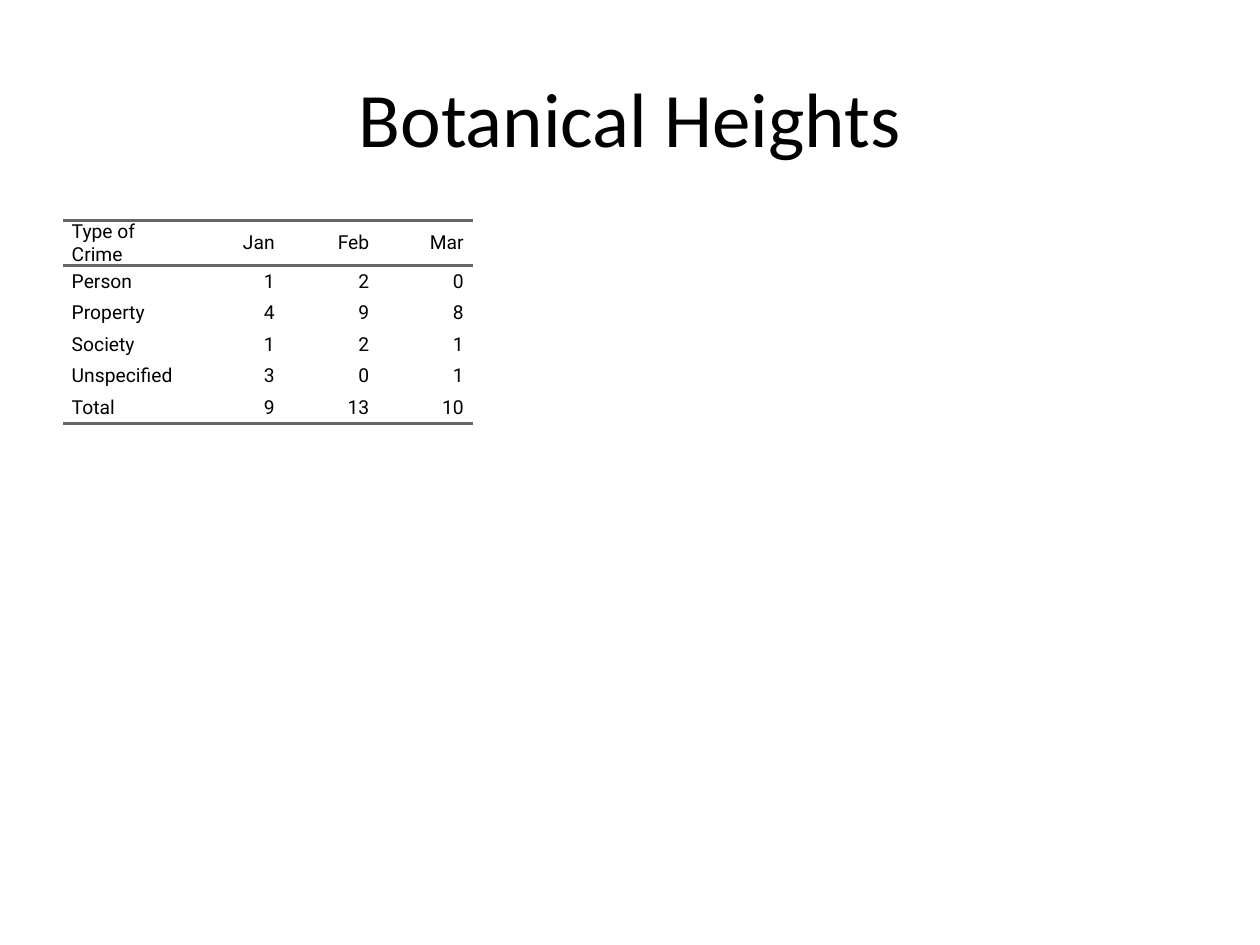
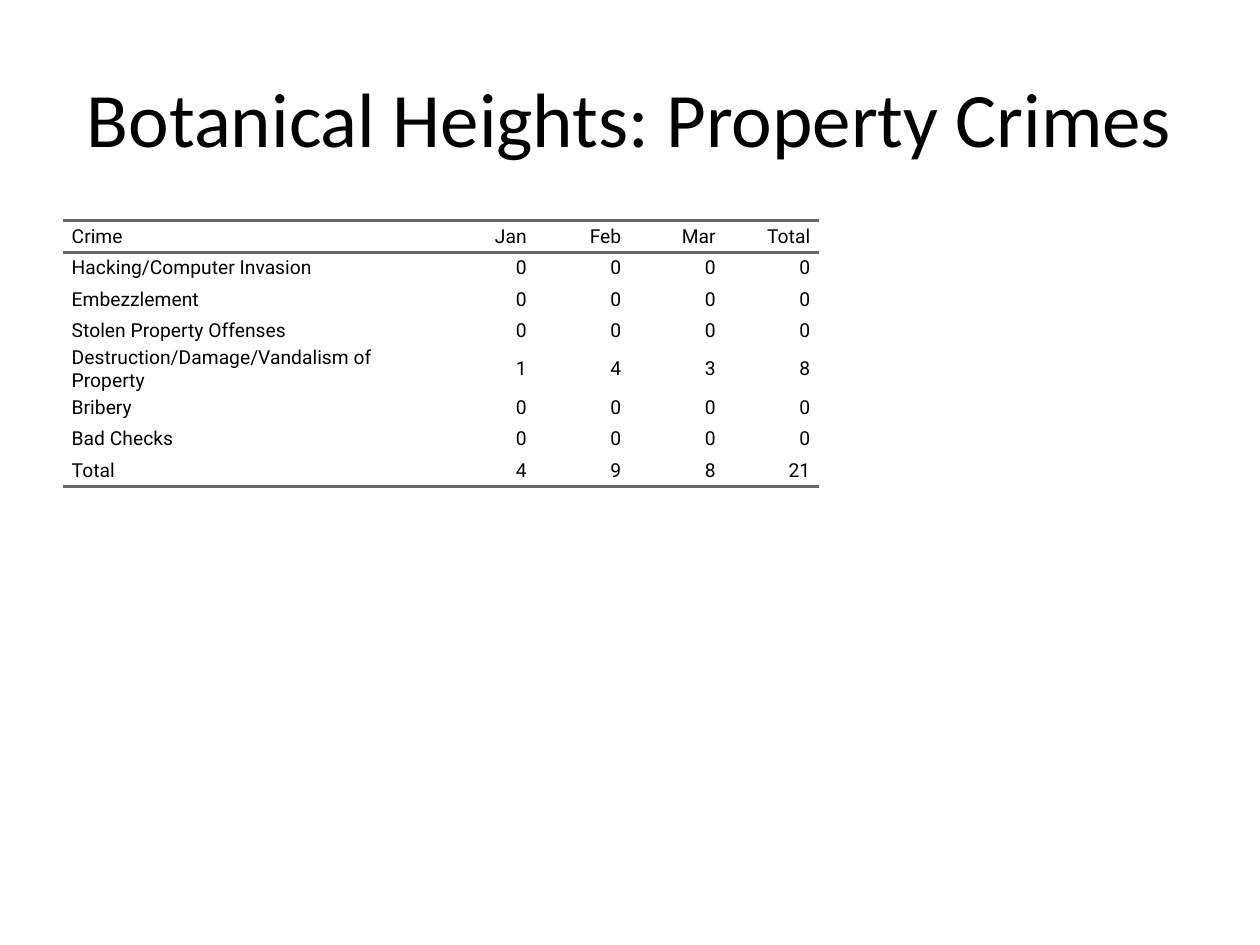
from lxml import etree
from pptx import Presentation
from pptx import util as u
from pptx.dml import color
from pptx.enum import text
from pptx.oxml import ns

BLACK = "000000"
RULE = "666666"
PLAIN_STYLE = "{2D5ABB26-0587-4C30-8999-92F81FD0307C}"  # no style, no grid
LEFT, WIDTH = u.Cm(1.27), u.Cm(22.86)
MONTH_WIDTH = u.Cm(1.905)
ROW_HEIGHT = u.Cm(0.635)
SIDE_INDENT = u.Pt(5)


def write(frame, words, font, size, align, hue=BLACK, space=0, indent=0):
    """Fill a text frame with one formatted paragraph."""
    frame.text = words
    line = frame.paragraphs[0]
    line.alignment = align
    if space:
        line.space_before = line.space_after = u.Pt(space)
    if indent:
        props = line._p.get_or_add_pPr()
        props.set("marL", str(indent))
        props.set("marR", str(indent))
        props.set("indent", "0")
    run_font = line.runs[0].font
    run_font.name, run_font.size = font, u.Pt(size)
    run_font.color.rgb = color.RGBColor.from_string(hue)


def rule(cell, side):
    """Draw a grey 2 pt border on one side ("T" or "B") of a cell."""
    border = etree.SubElement(cell._tc.get_or_add_tcPr(), ns.qn(f"a:ln{side}"),
                              w=str(u.Pt(2)))
    fill = etree.SubElement(border, ns.qn("a:solidFill"))
    etree.SubElement(fill, ns.qn("a:srgbClr"), val=RULE)


# Content: title, width of the first column, table rows
pages = [
    ("Botanical Heights", u.Cm(2.54), [
        ("Type of Crime", "Jan", "Feb", "Mar"),
        ("Person", 1, 2, 0),
        ("Property", 4, 9, 8),
        ("Society", 1, 2, 1),
        ("Unspecified", 3, 0, 1),
        ("Total", 9, 13, 10),
    ]),
    ("Botanical Heights: Property Crimes", u.Cm(7.62), [
        ("Crime", "Jan", "Feb", "Mar", "Total"),
        ("Hacking/Computer Invasion", 0, 0, 0, 0),
        ("Embezzlement", 0, 0, 0, 0),
        ("Stolen Property Offenses", 0, 0, 0, 0),
        ("Destruction/Damage/Vandalism of Property", 1, 4, 3, 8),
        ("Bribery", 0, 0, 0, 0),
        ("Bad Checks", 0, 0, 0, 0),
        ("Total", 4, 9, 8, 21),
    ]),
]

deck = Presentation()
deck.slide_width, deck.slide_height = u.Cm(25.4), u.Cm(19.05)
title_only = deck.slide_layouts[5]

for heading, crime_width, counts in pages:
    slide = deck.slides.add_slide(title_only)

    # Title
    title = slide.shapes.title
    title.left, title.top = LEFT, u.Cm(0.76)
    title.width, title.height = WIDTH, u.Cm(3.18)
    title.text_frame.vertical_anchor = text.MSO_ANCHOR.MIDDLE
    write(title.text_frame, heading, "Calibri", 44, text.PP_ALIGN.CENTER)

    # Table grid
    holder = slide.shapes.add_table(len(counts), len(counts[0]), LEFT, u.Cm(4.45),
                                    WIDTH, ROW_HEIGHT * len(counts))
    crimes = holder.table
    crimes.first_row = crimes.horz_banding = False
    for style in holder._element.iter(ns.qn("a:tableStyleId")):
        style.text = PLAIN_STYLE
    for number, column in enumerate(crimes.columns):
        column.width = MONTH_WIDTH if number else crime_width
    for row in crimes.rows:
        row.height = ROW_HEIGHT
    holder.width, holder.height = WIDTH, u.Cm(12.57)

    # Cells: rules above and below the header and under the totals
    for r, values in enumerate(counts):
        for c, value in enumerate(values):
            cell = crimes.cell(r, c)
            cell.margin_left = cell.margin_right = 0
            cell.margin_top = cell.margin_bottom = 0
            cell.vertical_anchor = text.MSO_ANCHOR.MIDDLE
            write(cell.text_frame, str(value), "Roboto", 11,
                  text.PP_ALIGN.RIGHT if c else text.PP_ALIGN.LEFT,
                  space=5, indent=SIDE_INDENT)
            if r == 0:
                rule(cell, "T")
            if r in (0, len(counts) - 1):
                rule(cell, "B")
            cell.fill.background()

deck.save("out.pptx")
